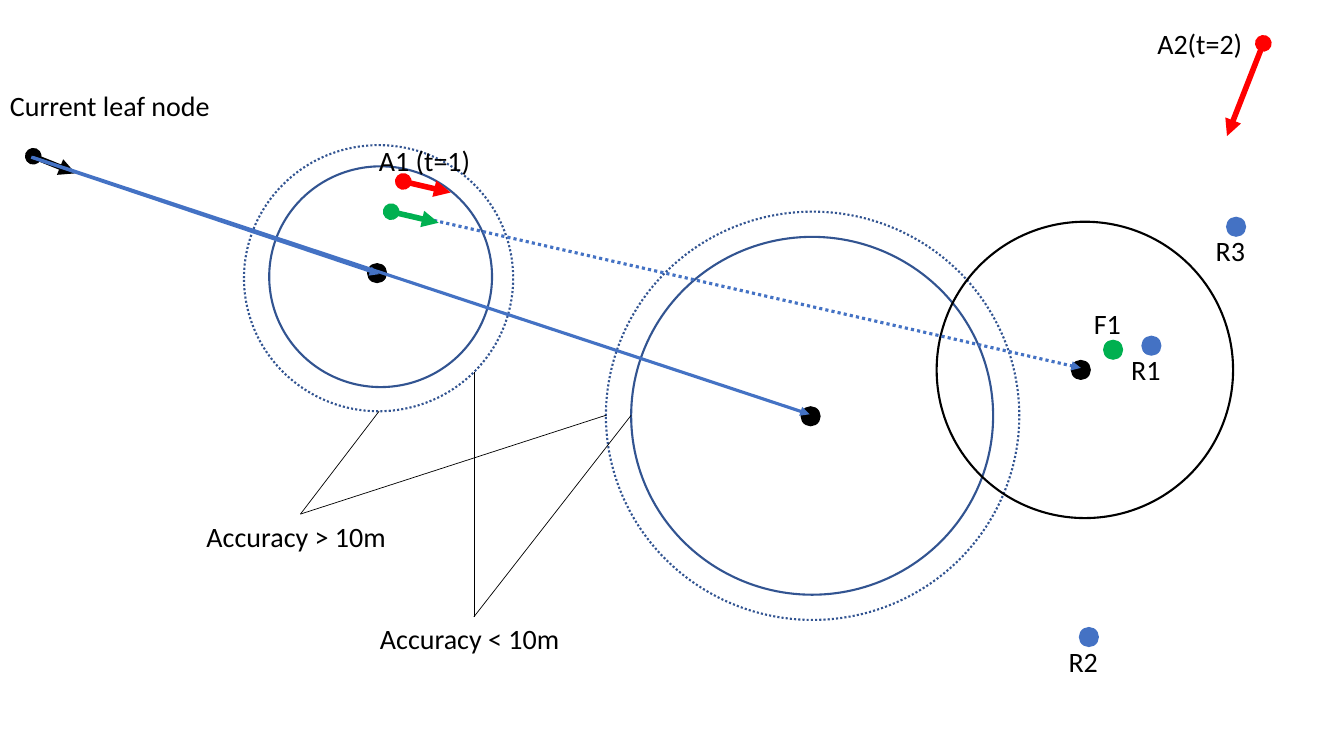
from pptx import Presentation
from pptx.dml.color import RGBColor
from pptx.enum.dml import MSO_LINE
from pptx.enum.shapes import MSO_CONNECTOR, MSO_SHAPE
from pptx.enum.text import MSO_AUTO_SIZE
from pptx.oxml.ns import qn
from pptx.util import Inches, Pt
from lxml import etree

STRAIGHT = MSO_CONNECTOR.STRAIGHT
OVAL = MSO_SHAPE.OVAL
DOTTED = MSO_LINE.ROUND_DOT
FIT = MSO_AUTO_SIZE.SHAPE_TO_FIT_TEXT

BLACK = RGBColor(0x00, 0x00, 0x00)
RED = RGBColor(0xFF, 0x00, 0x00)
GREEN = RGBColor(0x00, 0xB0, 0x50)
BLUE = RGBColor(0x44, 0x72, 0xC4)
NAVY = RGBColor(0x32, 0x54, 0x91)

COLUMNS, ROWS = 13.33, 7.5
DOT = 0.2
LABEL_H = 0.44

prs = Presentation()
prs.slide_width, prs.slide_height = Inches(COLUMNS), Inches(ROWS)
s = prs.slides.add_slide(prs.slide_layouts[6])


def col(n):
    return round(prs.slide_width * n / COLUMNS)


def row(n):
    return round(prs.slide_height * n / ROWS)


def add_text(text, x, y, w, size=20, color=BLACK, font="Calibri"):
    sp = s.shapes.add_textbox(col(x), row(y), col(w), row(LABEL_H))
    tf = sp.text_frame
    tf.word_wrap = True
    tf.auto_size = FIT
    r = tf.paragraphs[0].add_run()
    r.text = text
    r.font.size, r.font.name = Pt(size), font
    r.font.color.rgb = color
    return sp


def add_oval(x, y, w, h, fill=None, line=None, dash=None):
    sp = s.shapes.add_shape(OVAL, col(x), row(y), col(w), row(h))
    sp.shadow.inherit = False
    if fill is None:
        sp.fill.background()
    else:
        sp.fill.solid()
        sp.fill.fore_color.rgb = fill
    if line is None:
        sp.line.fill.background()
    else:
        sp.line.color.rgb = line
        sp.line.width = Pt(1.5)
        if dash:
            sp.line.dash_style = dash


def add_dot(x, y, color):
    add_oval(x, y, DOT, DOT, fill=color)


def add_line(start, end, color, width, dash=None, head=None, tail=None):
    c = s.shapes.add_connector(STRAIGHT, col(start[0]), row(start[1]),
                               col(end[0]), row(end[1]))
    c.line.color.rgb = color
    c.line.width = Pt(width)
    if dash:
        c.line.dash_style = dash
    ln = c.line._get_or_add_ln()
    for tag, kind in (("a:headEnd", head), ("a:tailEnd", tail)):
        if kind:
            etree.SubElement(ln, qn(tag), type=kind)
    etree.SubElement(c._element.spPr, qn("a:effectLst"))
    return c


def add_zone(box, inner, center):
    x, y, w, h = box
    dx, dy, inner_w, inner_h = inner
    add_oval(x, y, w, h, line=NAVY, dash=DOTTED)
    add_oval(x + dx, y + dy, inner_w, inner_h, line=NAVY)
    add_dot(x + center[0], y + center[1], BLACK)


def add_target(x, y, size, center):
    add_oval(x, y, size, size, line=BLACK)
    add_dot(x + center[0], y + center[1], BLACK)


def add_marker(name, x, y, color=BLUE, dot=(0.2, 0), label_dy=0.12):
    add_dot(x + dot[0], y + dot[1], color)
    add_text(name, x, y + label_dy, 0.57)


def add_heading(start, reach, color):
    end = start[0] + reach[0], start[1] + reach[1]
    add_line(start, end, color, 4, head="oval", tail="triangle")


def add_callout(text, x, y, targets):
    w = 2.06
    label = add_text(text, x, y, w)
    for target in targets:
        c = add_line((x + w / 2, y), target, BLACK, 0.5)
        c.begin_connect(label, 0)


add_heading((0.33, 1.55), (0.42, 0.17), BLACK)
add_zone((2.42, 1.44, 2.67, 2.64), (0.25, 0.21, 2.21, 2.19), (1.22, 1.17))
add_zone((6.01, 2.1, 4.1, 4.05), (0.25, 0.25, 3.59, 3.55), (1.93, 1.93))
add_target(9.29, 2.2, 2.94, (1.33, 1.37))

for name, x, y in (("R1", 11.12, 3.33), ("R2", 10.5, 6.22), ("R3", 11.96, 2.15)):
    add_marker(name, x, y)
add_marker("F1", 10.75, 2.99, GREEN, dot=(0.19, 0.38), label_dy=0)

for text, x, y, w in (("Current leaf node", 0, 0.83, 2.24),
                      ("A1 (t=1)", 3.66, 1.37, 1.24),
                      ("A2(t=2)", 11.38, 0.21, 1.18)):
    add_text(text, x, y, w)

for start, end, dash in (((3.88, 2.09), (10.72, 3.65), DOTTED),
                         ((0.31, 1.56), (3.76, 2.72), None),
                         ((0.32, 1.56), (8.03, 4.11), None)):
    add_line(start, end, BLUE, 2.25, dash=dash, tail="triangle")

add_heading((4, 1.8), (0.47, 0.11), RED)
add_heading((12.53, 0.43), (-0.36, 0.92), RED)
add_heading((3.88, 2.1), (0.47, 0.11), GREEN)

add_callout("Accuracy > 10m", 1.95, 5.1, ((3.76, 4.08), (6.01, 4.12)))
add_callout("Accuracy < 10m", 3.67, 6.12, ((4.7, 3.69), (6.26, 4.12)))

prs.save("out.pptx")
